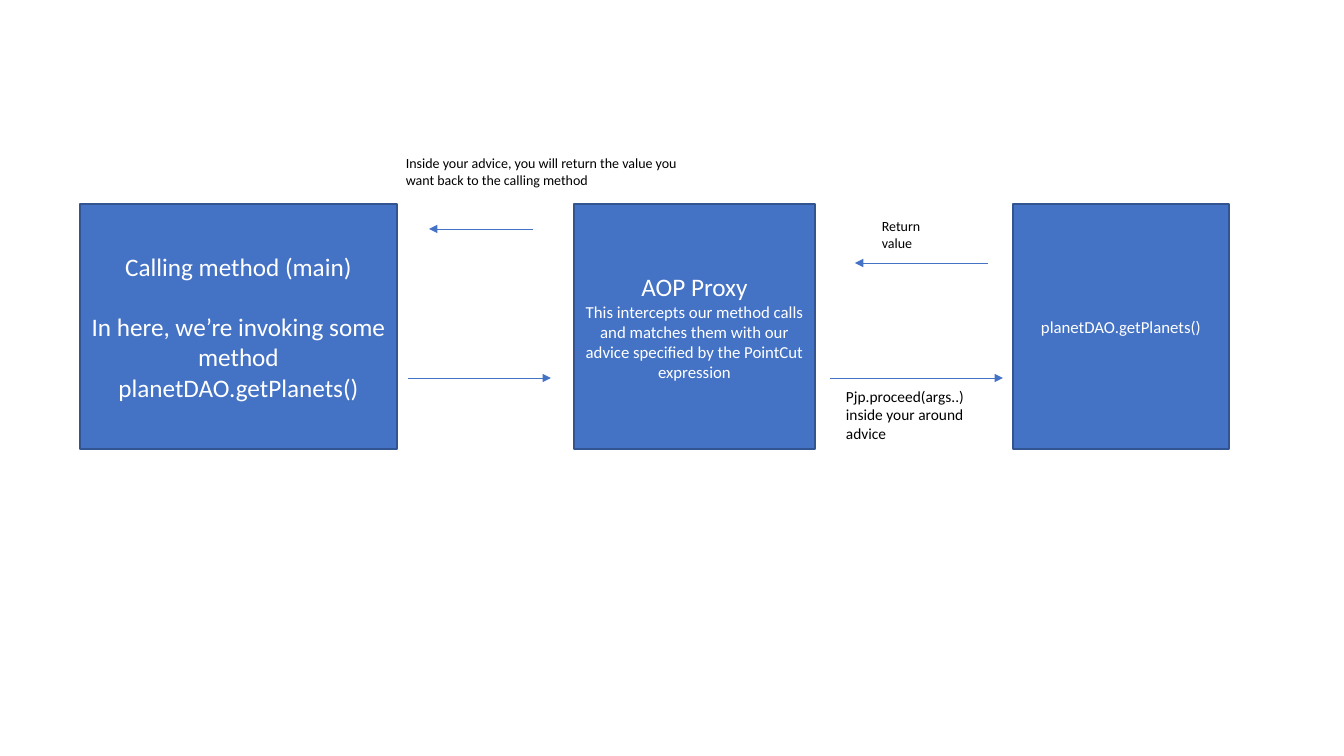
from dataclasses import dataclass
from typing import NamedTuple

from lxml.etree import SubElement
from pptx import Presentation
from pptx.dml.color import RGBColor
from pptx.enum.shapes import MSO_CONNECTOR, MSO_SHAPE
from pptx.enum.text import MSO_ANCHOR, MSO_AUTO_SIZE, PP_ALIGN
from pptx.oxml.ns import qn
from pptx.util import Emu, Pt


@dataclass(frozen=True)
class Theme:
    font: str = "Calibri"
    blue: RGBColor = RGBColor(0x44, 0x72, 0xC4)
    edge: RGBColor = RGBColor(0x32, 0x54, 0x91)
    white: RGBColor = RGBColor(0xFF, 0xFF, 0xFF)
    black: RGBColor = RGBColor(0, 0, 0)
    head: float = 18
    body: float = 12
    note: float = 11
    small: float = 10
    gap: float = 21.6


class Para(NamedTuple):
    text: str
    size: float
    before: float = 0


class Box(NamedTuple):
    left: int
    width: int
    paras: list[Para]


class Arrow(NamedTuple):
    start: int
    end: int
    y: int


class Label(NamedTuple):
    left: int
    top: int
    width: int
    height: int
    para: Para


THEME = Theme()
SCALE = 914400 / 100.8
BOX_TOP, BOX_HEIGHT = 204, 245
CALL_Y = 378

BOXES = [
    Box(80, 317, [
        Para("Calling method (main)", THEME.head),
        Para("In here, we’re invoking some method planetDAO.getPlanets()",
             THEME.head, THEME.gap),
    ]),
    Box(574, 241, [
        Para("AOP Proxy", THEME.head),
        Para("This intercepts our method calls and matches them with our "
             "advice specified by the PointCut expression", THEME.body),
    ]),
    Box(1013, 216, [Para("planetDAO.getPlanets()", THEME.body)]),
]
ARROWS = [
    Arrow(408, 551, CALL_Y),
    Arrow(830, 1003, CALL_Y),
    Arrow(988, 855, 263),
    Arrow(533, 429, 229),
]
LABELS = [
    Label(836, 382, 161, 67,
          Para("Pjp.proceed(args..) inside your around advice", THEME.note)),
    Label(872, 213, 72, 44, Para("Return value", THEME.small)),
    Label(396, 150, 292, 44,
          Para("Inside your advice, you will return the value you want back "
               "to the calling method", THEME.small)),
]


def px(*sizes: int) -> list[Emu]:
    return [Emu(round(size * SCALE)) for size in sizes]


def write(frame, paras: list[Para], color: RGBColor, align: PP_ALIGN) -> None:
    frame.word_wrap = True
    for index, item in enumerate(paras):
        para = frame.add_paragraph() if index else frame.paragraphs[0]
        para.alignment = align
        para.space_before = Pt(item.before)
        run = para.add_run()
        run.text = item.text
        run.font.name = THEME.font
        run.font.size = Pt(item.size)
        run.font.color.rgb = color


def draw_box(shapes, box: Box) -> None:
    shape = shapes.add_shape(
        MSO_SHAPE.RECTANGLE, *px(box.left, BOX_TOP, box.width, BOX_HEIGHT))
    shape.shadow.inherit = False
    shape.fill.solid()
    shape.fill.fore_color.rgb = THEME.blue
    shape.line.color.rgb = THEME.edge
    shape.line.width = Pt(1)
    shape.text_frame.vertical_anchor = MSO_ANCHOR.MIDDLE
    write(shape.text_frame, box.paras, THEME.white, PP_ALIGN.CENTER)


def draw_arrow(shapes, arrow: Arrow) -> None:
    line = shapes.add_connector(
        MSO_CONNECTOR.STRAIGHT, *px(arrow.start, arrow.y, arrow.end, arrow.y))
    line.line.color.rgb = THEME.blue
    line.line.width = Pt(0.5)
    SubElement(line.line._get_or_add_ln(), qn("a:tailEnd"), type="triangle")
    SubElement(line._element.spPr, qn("a:effectLst"))


def draw_label(shapes, label: Label) -> None:
    frame = shapes.add_textbox(*px(*label[:4])).text_frame
    frame.auto_size = MSO_AUTO_SIZE.SHAPE_TO_FIT_TEXT
    write(frame, [label.para], THEME.black, PP_ALIGN.LEFT)


def main() -> None:
    deck = Presentation()
    deck.slide_width, deck.slide_height = px(1344, 756)
    shapes = deck.slides.add_slide(deck.slide_layouts[6]).shapes
    for box in BOXES:
        draw_box(shapes, box)
    for arrow in ARROWS:
        draw_arrow(shapes, arrow)
    for label in LABELS:
        draw_label(shapes, label)
    deck.save("out.pptx")


main()
